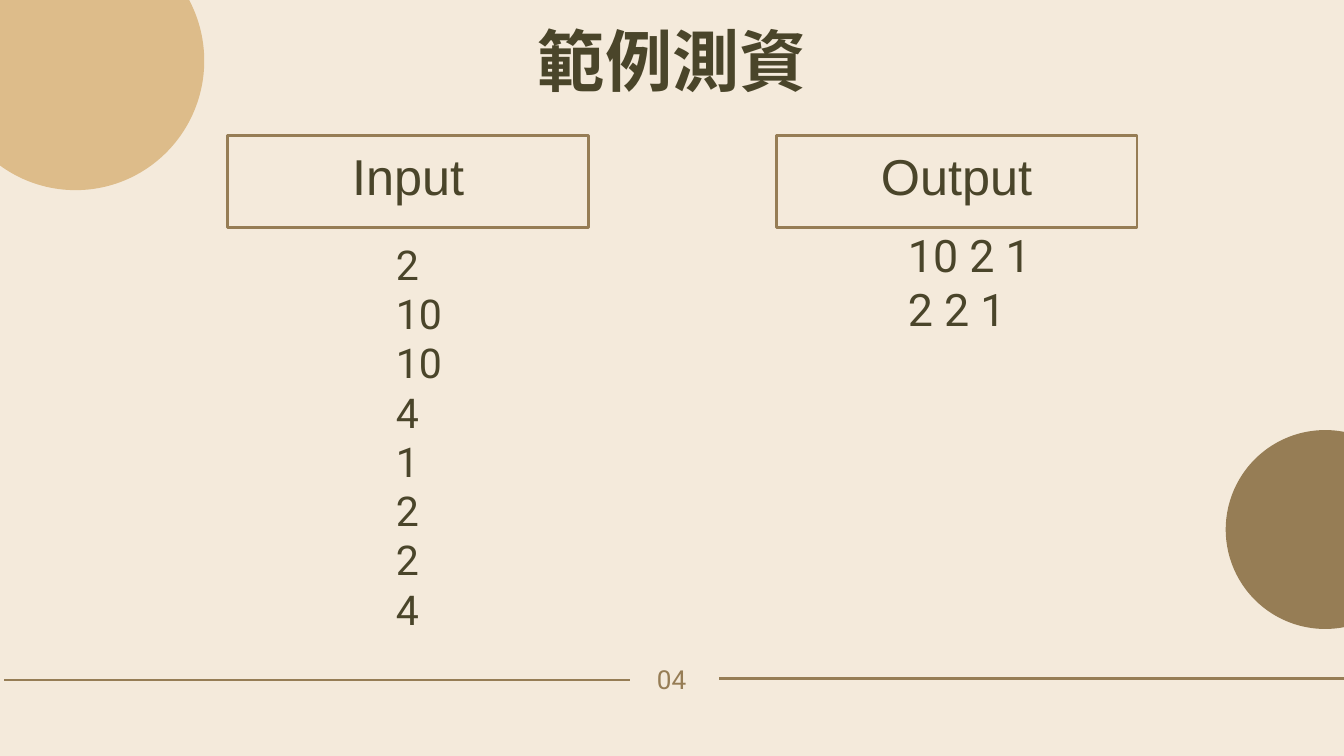
"""Build the sample test data slide with its input and output columns."""
from dataclasses import dataclass

from lxml.etree import SubElement
from pptx import Presentation
from pptx.dml.color import RGBColor
from pptx.enum.shapes import MSO_CONNECTOR, MSO_SHAPE
from pptx.enum.text import MSO_ANCHOR, MSO_AUTO_SIZE, PP_ALIGN
from pptx.oxml.ns import qn
from pptx.shapes.autoshape import Shape
from pptx.slide import Slide
from pptx.util import Inches, Pt

CREAM, BROWN, TAN, DARK = "F4EADB", "967D55", "DDBC8A", "4A452A"


@dataclass
class Area:
    left: float
    top: float
    width: float
    height: float

    def lengths(self) -> list[Inches]:
        return [Inches(n) for n in (self.left, self.top, self.width, self.height)]


@dataclass
class Style:
    size: int
    font: str = "Roboto"
    color: str = DARK
    bold: bool = False
    align: PP_ALIGN = PP_ALIGN.CENTER
    pitch: float | None = None


@dataclass
class Column:
    left: float
    head: str
    lines: list[str]
    body: Area
    size: int


COLUMNS = [
    Column(3.39, "Input", ["2", "10", "10", "4", "1", "2", "2", "4"],
           Area(5.89, 3.56, 2.78, 5.92), 44),
    Column(11.55, "Output", ["10 2 1", "2 2 1"],
           Area(13.51, 3.39, 2.78, 1.62), 48),
]
DISCS = [(Area(18.24, 6.4, 2.96, 2.96), BROWN), (Area(-0.79, -1.02, 3.83, 3.85), TAN)]
RULES = [(10.7, 20, 10.1), (0.06, 9.37, 10.12)]


def paint(code: str) -> RGBColor:
    return RGBColor.from_string(code)


def write(shape: Shape, area: Area, text: str, style: Style) -> None:
    shape.left, shape.top, shape.width, shape.height = area.lengths()
    frame = shape.text_frame
    frame.text = text
    frame.word_wrap = True
    frame.auto_size = MSO_AUTO_SIZE.NONE
    frame.vertical_anchor = MSO_ANCHOR.TOP
    frame.margin_left = frame.margin_right = frame.margin_top = frame.margin_bottom = 0
    for line in frame.paragraphs:
        line.alignment = style.align
        line.space_before = Pt(0)
        line.line_spacing = Pt(style.pitch) if style.pitch else 1.0
        for run in line.runs:
            font = run.font
            font.name, font.size, font.bold = style.font, Pt(style.size), style.bold
            font.color.rgb = paint(style.color)
            SubElement(run._r.get_or_add_rPr(), qn("a:ea"), typeface=style.font)


def clear_bullets(shape: Shape) -> None:
    for line in shape.text_frame.paragraphs:
        props = line._p.get_or_add_pPr()
        props.set("marL", "0")
        props.set("indent", "0")
        SubElement(props, qn("a:buNone"))


def add_rule(slide: Slide, start: float, end: float, top: float) -> None:
    rule = slide.shapes.add_connector(
        MSO_CONNECTOR.STRAIGHT, Inches(start), Inches(top), Inches(end), Inches(top))
    rule.line.color.rgb = paint(BROWN)
    rule.line.width = Pt(3)
    SubElement(rule._element.spPr, qn("a:effectLst"))


def add_disc(slide: Slide, area: Area, color: str) -> None:
    disc = slide.shapes.add_shape(MSO_SHAPE.OVAL, *area.lengths())
    disc.shadow.inherit = False
    disc.fill.solid()
    disc.fill.fore_color.rgb = paint(color)
    disc.line.fill.background()


def add_label(slide: Slide, area: Area, text: str, style: Style) -> None:
    write(slide.shapes.add_textbox(*area.lengths()), area, text, style)


def add_column(slide: Slide, column: Column, body: Shape) -> None:
    frame = Area(column.left, 2.02, 5.37, 1.37)
    box = slide.shapes.add_shape(MSO_SHAPE.RECTANGLE, *frame.lengths())
    box.shadow.inherit = False
    box.fill.background()
    box.line.color.rgb = paint(BROWN)
    box.line.width = Pt(3)
    add_label(slide, Area(column.left + 0.85, 2.56, 3.67, 0.59), column.head,
              Style(54, "Arial", pitch=36))
    write(body, column.body, "\n".join(column.lines),
          Style(column.size, align=PP_ALIGN.LEFT))
    clear_bullets(body)


def main() -> None:
    deck = Presentation()
    deck.slide_width, deck.slide_height = Inches(20), Inches(11.25)
    slide = deck.slides.add_slide(deck.slide_layouts[3])
    slide.background.fill.solid()
    slide.background.fill.fore_color.rgb = paint(CREAM)
    for start, end, top in RULES:
        add_rule(slide, start, end, top)
    add_label(slide, Area(9.07, 9.95, 1.85, 0.39), "04", Style(28, color=BROWN, pitch=28))
    for area, color in DISCS:
        add_disc(slide, area, color)
    write(slide.shapes.title, Area(4.72, 0.29, 10.57, 1.21), "範例測資",
          Style(72, "Noto Sans CJK SC", bold=True, pitch=86.4))
    for column, spot in zip(COLUMNS, (1, 2)):
        add_column(slide, column, slide.placeholders[spot])
    deck.save("out.pptx")


if __name__ == "__main__":
    main()
